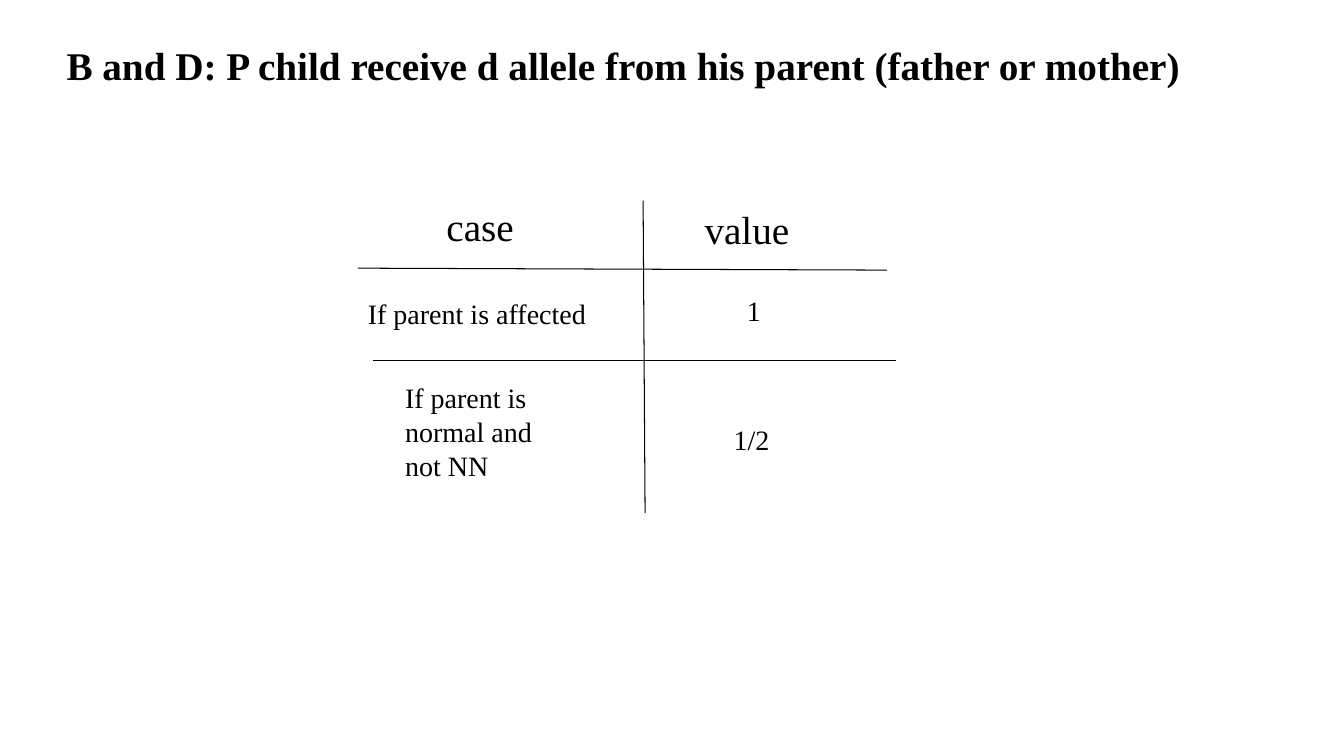
from lxml.etree import SubElement
from pptx import Presentation
from pptx.dml.color import RGBColor
from pptx.enum.shapes import MSO_CONNECTOR
from pptx.enum.text import MSO_ANCHOR, MSO_AUTO_SIZE, PP_ALIGN
from pptx.oxml.ns import qn
from pptx.util import Inches, Pt

COLORS = {"ink": "000000", "paper": "FFFFFF"}
FONT = "Times New Roman"
HEADING, BODY = 28, 20  # text sizes in points

# The page is a grid of 100 columns by 100 rows
WIDTH, HEIGHT = Inches(13.33), Inches(7.5)
HEADING_ROWS, BODY_ROWS = 7.6, 5.87

# Text, size, left column, top row, columns, rows
CELLS = [
    ("case", HEADING, 32.48, 26.13, 9, HEADING_ROWS),
    ("value", HEADING, 51.68, 26.53, 9, HEADING_ROWS),
    ("If parent is affected", BODY, 26.63, 38.53, 17.85, BODY_ROWS),
    ("1", BODY, 54.83, 38.13, 2.55, BODY_ROWS),
    ("If parent is normal and not NN", BODY, 29.4, 49.73, 13.58, 14.8),
    ("1/2", BODY, 53.85, 55.2, 4.2, BODY_ROWS),
]

# Start column and row, end column and row
RULES = [
    (47.85, 26.53, 48, 67.87),
    (26.63, 35.47, 66, 35.73),
    (27.75, 47.73, 66.68, 47.73),
]


def column(share):
    return round(WIDTH * share / 100)


def row(share):
    return round(HEIGHT * share / 100)


def color(name):
    return RGBColor.from_string(COLORS[name])


def write(box, text, size, bold=False):
    frame = box.text_frame
    frame.word_wrap = True
    frame.auto_size = MSO_AUTO_SIZE.NONE
    frame.vertical_anchor = MSO_ANCHOR.TOP
    frame.margin_left = frame.margin_right = Inches(0.1)
    frame.margin_top = frame.margin_bottom = Inches(0.05)
    para = frame.paragraphs[0]
    para.alignment = PP_ALIGN.LEFT
    para.line_spacing = 1.0
    para.space_before = Pt(0)
    span = para.add_run()
    span.text = text
    span.font.name = FONT
    span.font.size = Pt(size)
    span.font.bold = bold
    span.font.color.rgb = color("ink")


def add_title(page, text):
    title = page.shapes.title
    title.left, title.top = column(4.2), row(4.8)
    title.width, title.height = column(91), row(HEADING_ROWS)
    write(title, text, HEADING, bold=True)


def add_cell(page, text, size, left, top, columns, rows):
    box = page.shapes.add_textbox(
        column(left), row(top), column(columns), row(rows))
    write(box, text, size)


def add_rule(page, left, top, right, bottom):
    rule = page.shapes.add_connector(
        MSO_CONNECTOR.STRAIGHT,
        column(left), row(top), column(right), row(bottom))
    rule.line.color.rgb = color("ink")
    rule.line.width = Pt(0.75)
    # An empty effect list removes the shadow
    SubElement(rule._element.spPr, qn("a:effectLst"))


def main():
    deck = Presentation()
    deck.slide_width, deck.slide_height = WIDTH, HEIGHT
    page = deck.slides.add_slide(deck.slide_layouts.get_by_name("Title Only"))
    page.background.fill.solid()
    page.background.fill.fore_color.rgb = color("paper")

    add_title(page, "B and D: P child receive d allele from his parent "
                    "(father or mother)")

    # Case and value chart: words first, ruled lines on top
    for cell in CELLS:
        add_cell(page, *cell)
    for rule in RULES:
        add_rule(page, *rule)

    deck.save("out.pptx")


if __name__ == "__main__":
    main()
